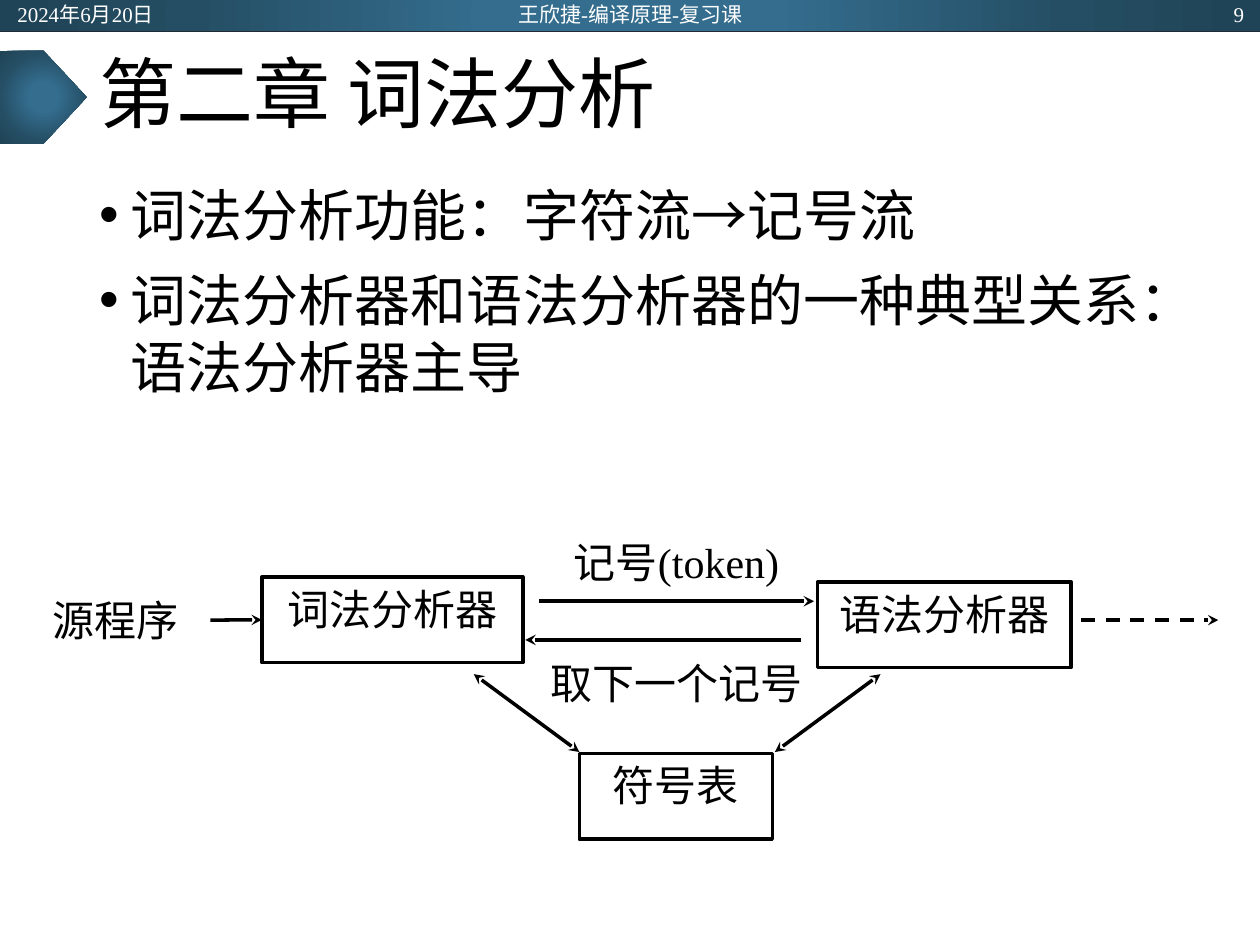
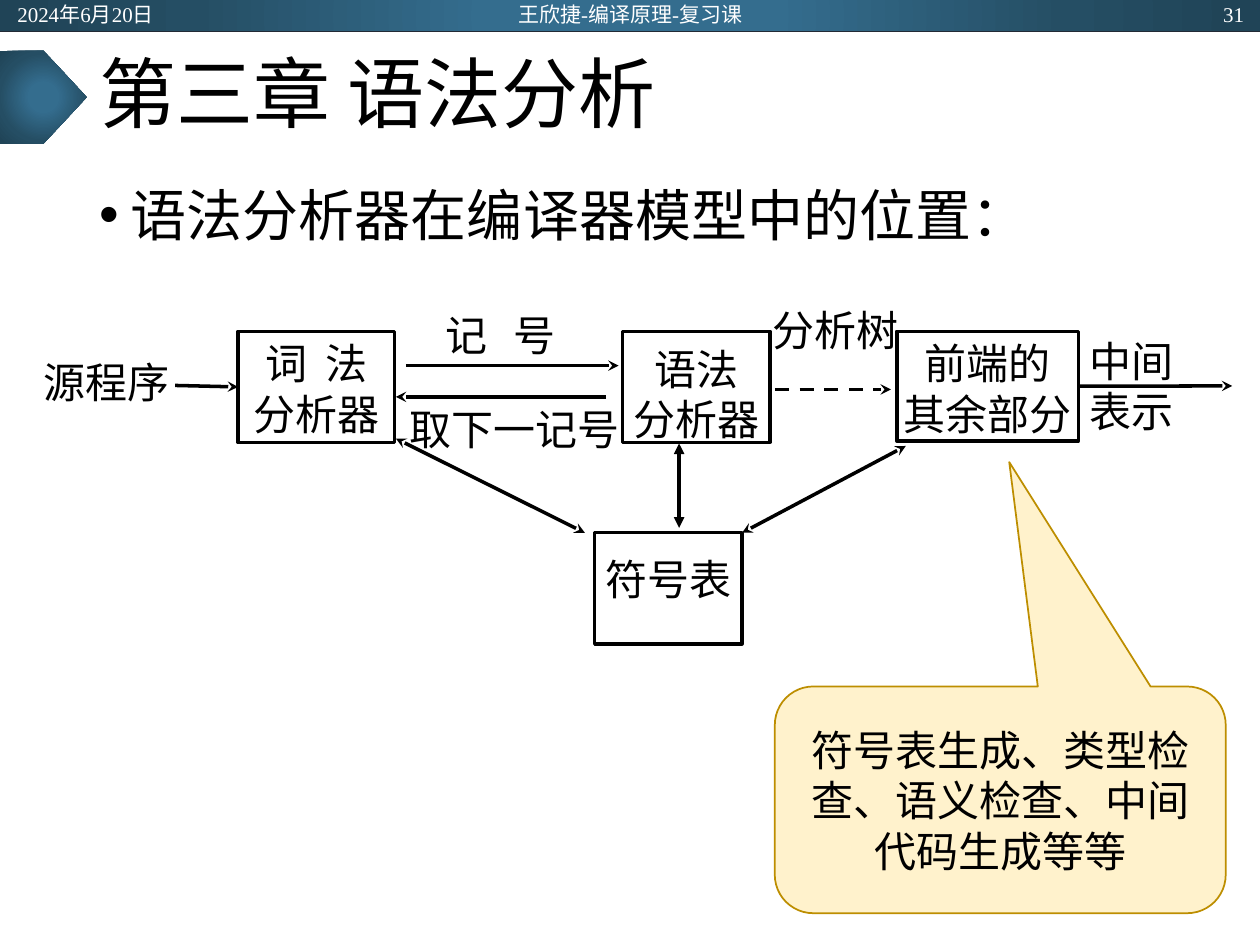
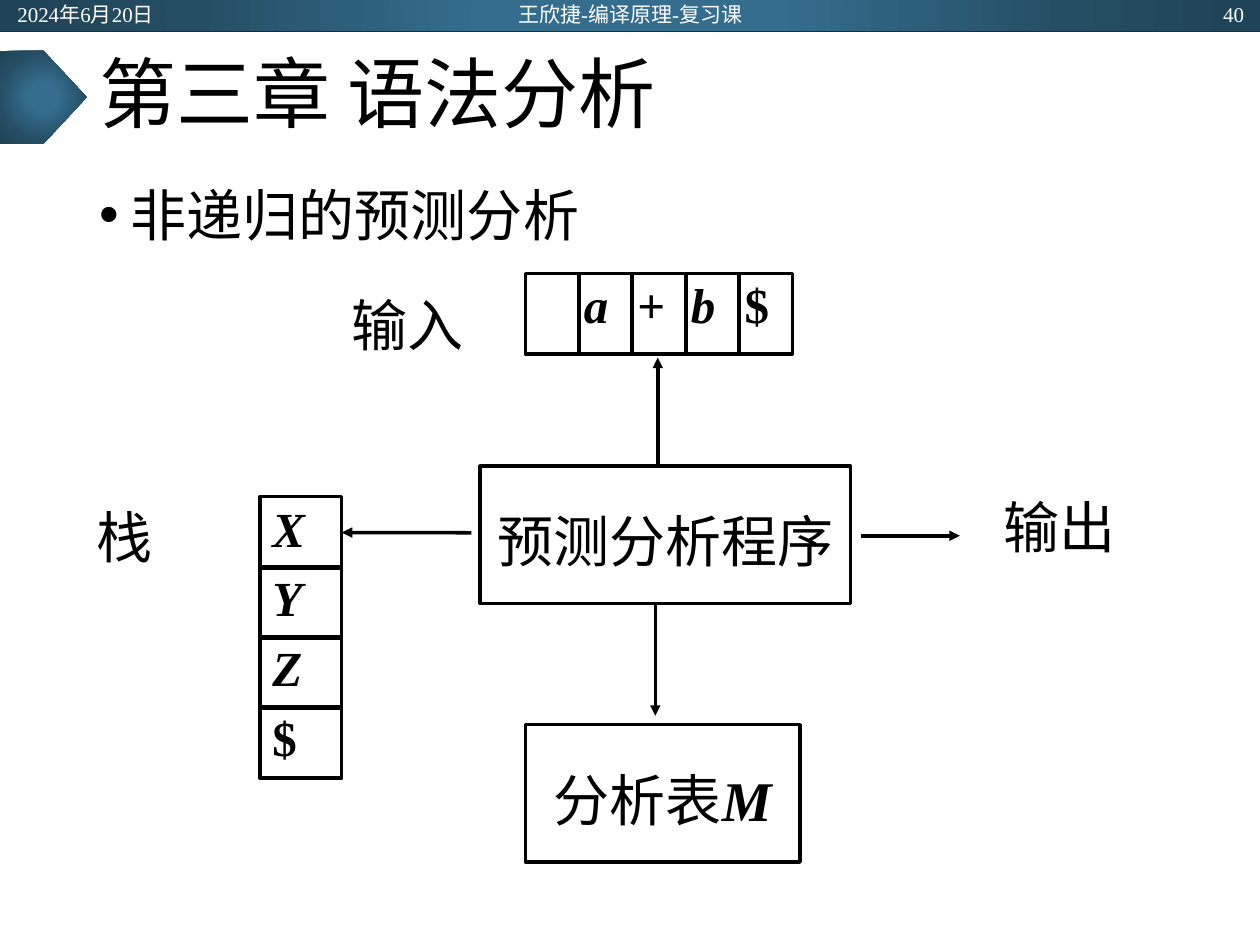
from lxml.etree import SubElement
from pptx import Presentation
from pptx.dml.color import RGBColor
from pptx.enum.dml import MSO_LINE
from pptx.enum.shapes import MSO_CONNECTOR as Link, MSO_SHAPE as Kind
from pptx.enum.text import MSO_ANCHOR as Anchor, PP_ALIGN as Align
from pptx.oxml import parse_xml
from pptx.oxml.ns import nsdecls, qn
from pptx.util import Cm, Pt

BLACK = RGBColor(0x00, 0x00, 0x00)
WHITE = RGBColor(0xFF, 0xFF, 0xFF)
RULE = RGBColor(0x22, 0x2A, 0x35)
CREAM = RGBColor(0xFF, 0xF2, 0xCC)
GOLD = RGBColor(0xBD, 0x8E, 0x00)
GLOW = [(0, RGBColor(0x34, 0x6D, 0x8E)), (23, RGBColor(0x34, 0x6D, 0x8E)),
        (69, RGBColor(0x25, 0x4E, 0x64)), (97, RGBColor(0x20, 0x44, 0x57))]
SERIF = "Times New Roman"
SANS = "Noto Sans CJK SC"

# Insets: left, top, right, bottom
PAD = (0.25, 0.13, 0.25, 0.13)
SLIM = (0.05, 0.13, 0.05, 0.13)
LOW = (0.05, 0.41, 0.05, 0.13)
HIGH = (0.25, 0.03, 0.25, 0.13)
DEEP = (0.25, 0.28, 0.25, 0.13)
TIGHT = (0.1, 0.03, 0.05, 0.03)

DATE = "2024年6月20日"
COURSE = "王欣捷-编译原理-复习课"


def cms(*nums):
    return [Cm(num) for num in nums]


def write(shape, lines, size=24, align=Align.CENTER, anchor=Anchor.TOP,
          pad=PAD, ink=BLACK, face=SERIF, lead=None, dots=False,
          bold=None, slant=None, track=0):
    """Fill the shape with one paragraph a line; track is in points."""
    frame = shape.text_frame
    frame.word_wrap = True
    frame.vertical_anchor = anchor
    (frame.margin_left, frame.margin_top,
     frame.margin_right, frame.margin_bottom) = cms(*pad)
    for num, line in enumerate(lines):
        par = frame.add_paragraph() if num else frame.paragraphs[0]
        par.text = line
        par.alignment = align
        if lead:
            par.line_spacing = lead
        props = par._p.get_or_add_pPr()
        if dots:
            if num:
                par.space_before = Pt(10)
            props.set("marL", str(Cm(0.64)))
            props.set("indent", str(-Cm(0.64)))
            SubElement(props, qn("a:buFont")).set("typeface", "Arial")
            SubElement(props, qn("a:buChar")).set("char", "•")
        font = par.font
        font.size, font.name = Pt(size), face
        font.bold, font.italic = bold, slant
        font.color.rgb = ink
        base = props.find(qn("a:defRPr"))
        SubElement(base, qn("a:ea")).set("typeface", SANS)
        if track and " " in line:
            base.set("spc", str(int(track * 100)))
    return shape


def label(slide, area, *lines, **look):
    return write(slide.shapes.add_textbox(*cms(*area)), lines, **look)


def plain(slide, kind, area):
    shape = slide.shapes.add_shape(kind, *cms(*area))
    shape.shadow.inherit = False
    return shape


def box(slide, area, *lines, **look):
    shape = plain(slide, Kind.RECTANGLE, area)
    shape.fill.background()
    shape.line.color.rgb = BLACK
    shape.line.width = Pt(2)
    return write(shape, lines, **look)


def glow(slide, kind, area):
    """Shape with the round blue gradient of the header."""
    shape = plain(slide, kind, area)
    shape.line.fill.background()
    stops = "".join(f'<a:gs pos="{pos * 1000}"><a:srgbClr val="{tint}"/></a:gs>'
                    for pos, tint in GLOW)
    half = 'l="50000" t="50000" r="50000" b="50000"'
    grad = parse_xml(f'<a:gradFill {nsdecls("a")}><a:gsLst>{stops}</a:gsLst>'
                     f'<a:path path="circle"><a:fillToRect {half}/></a:path>'
                     '</a:gradFill>')
    shape._element.spPr.find(qn("a:prstGeom")).addnext(grad)


def line(slide, ends, ink=BLACK, width=2, head=None, tail=None, dash=False):
    link = slide.shapes.add_connector(Link.STRAIGHT, *cms(*ends))
    link.line.color.rgb = ink
    link.line.width = Pt(width)
    if dash:
        link.line.dash_style = MSO_LINE.DASH
    stroke = link.line._get_or_add_ln()
    for tag, tip in (("a:headEnd", head), ("a:tailEnd", tail)):
        if tip:
            SubElement(stroke, qn(tag)).set("type", tip)
    SubElement(link._element.spPr, qn("a:effectLst"))
    return link


def arrow(slide, *ends, tip="stealth", both=False, dash=False):
    return line(slide, ends, head=tip if both else None, tail=tip, dash=dash)


def page(deck, num, title, *points):
    """New slide with header, title and bullet points."""
    slide = deck.slides.add_slide(deck.slide_layouts[6])
    glow(slide, Kind.RECTANGLE, (0, 0, 25.4, 0.64))
    line(slide, (0, 0.64, 25.4, 0.64), RULE, 0.5)
    glow(slide, Kind.PENTAGON, (0, 1.02, 1.75, 1.88))
    label(slide, (1.75, 0.64, 21.89, 2.64), title, size=44,
          align=Align.LEFT, anchor=Anchor.MIDDLE, lead=0.9)
    label(slide, (1.75, 3.51, 21.89, 13.67), *points, size=32,
          align=Align.LEFT, dots=True)
    for left, width, text, align in ((0.1, 5.72, DATE, Align.LEFT),
                                     (8.41, 8.59, COURSE, Align.CENTER),
                                     (19.61, 5.72, str(num), Align.RIGHT)):
        label(slide, (left, 0.03, width, 0.51), text, size=12, ink=WHITE,
              align=align, anchor=Anchor.MIDDLE)
    return slide


def lexing(deck):
    slide = page(deck, 9, "第二章 词法分析", "词法分析功能：字符流→记号流",
                 "词法分析器和语法分析器的一种典型关系：语法分析器主导")
    lexer = box(slide, (5.28, 11.63, 5.26, 1.73), "词法分析器")
    box(slide, (16.48, 11.73, 5.11, 1.73), "语法分析器")
    box(slide, (11.68, 15.19, 3.89, 1.73), "符号表")
    arrow(slide, 9.55, 13.59, 11.68, 15.16, both=True)
    arrow(slide, 17.75, 13.59, 15.62, 15.16, both=True)
    arrow(slide, 10.87, 12.12, 16.41, 12.12)
    arrow(slide, 16.15, 12.9, 10.59, 12.9)
    arrow(slide, 4.24, 12.5, 5.28, 12.5).end_connect(lexer, 1)
    arrow(slide, 21.79, 12.5, 24.56, 12.5, dash=True)
    label(slide, (11.1, 10.69, 5.08, 1.27), "记号(token)")
    label(slide, (10.8, 13.13, 5.66, 1.27), "取下一个记号")
    label(slide, (0.64, 11.86, 3.38, 1.75), "源程序")


def parsing(deck):
    slide = page(deck, 31, "第三章 语法分析", "语法分析器在编译器模型中的位置：")
    lexer = box(slide, (4.8, 6.68, 3.15, 2.24), "词 法", "分析器",
                pad=SLIM, face=SANS, track=2.5)
    box(slide, (12.55, 6.68, 2.97, 2.24), "语法", "分析器",
        pad=LOW, anchor=Anchor.MIDDLE)
    rest = box(slide, (18.08, 6.68, 3.66, 2.21), "前端的", "其余部分", pad=SLIM)
    box(slide, (11.99, 10.74, 2.97, 2.24), "符号表", pad=LOW)

    arrow(slide, 8.18, 7.37, 12.47, 7.37)
    arrow(slide, 12.22, 8, 7.98, 8)
    arrow(slide, 3.53, 7.77, 4.8, 7.75).end_connect(lexer, 1)
    arrow(slide, 15.62, 7.85, 17.96, 7.85, dash=True)
    arrow(slide, 21.74, 7.78, 24.84, 7.78).begin_connect(rest, 3)
    arrow(slide, 7.98, 8.84, 11.79, 10.74, both=True)
    arrow(slide, 18.26, 8.99, 14.96, 10.74, both=True)
    arrow(slide, 13.69, 8.94, 13.69, 10.64, tip="triangle", both=True)

    label(slide, (7.98, 6.1, 4.22, 1.37), "记 号", face=SANS, track=5)
    label(slide, (7.47, 8, 5.79, 1.27), "取下一记号")
    label(slide, (0.56, 7.06, 3.18, 1.37), "源程序")
    label(slide, (14.96, 6.1, 3.76, 1.19), "分析树", pad=HIGH)
    label(slide, (21.31, 6.73, 3, 1.19), "中间表示", pad=HIGH)

    note = plain(slide, Kind.ROUNDED_RECTANGULAR_CALLOUT,
                 (15.62, 13.84, 9.09, 4.57))
    for num, ratio in enumerate((0.02, -1.49, 0.17)):
        note.adjustments[num] = ratio
    note.fill.solid()
    note.fill.fore_color.rgb = CREAM
    note.line.color.rgb = GOLD
    note.line.width = Pt(1)
    write(note, ["符号表生成、类型检查、语义检查、中间代码生成等等"],
          anchor=Anchor.MIDDLE)


def predicting(deck):
    slide = page(deck, 40, "第三章 语法分析", "非递归的预测分析")
    cell = dict(size=28, align=Align.LEFT, bold=True)
    for num, sign in enumerate(["", "a", "+", "b", "$"]):
        box(slide, (10.59 + 1.08 * num, 5.51, 1.07, 1.63),
            *([sign] if sign else []), pad=TIGHT, slant=sign.isalpha(), **cell)
    stack = [box(slide, (5.24, 10.01 + 1.41 * num, 1.65, 1.45), sign,
                 pad=HIGH, slant=sign.isalpha(), **cell)
             for num, sign in enumerate("XYZ$")]

    box(slide, (9.68, 9.4, 7.47, 2.77), "预测分析程序",
        size=32, pad=DEEP, lead=1.4)
    table = box(slide, (10.59, 14.61, 5.54, 2.77), "分析表",
                size=32, pad=DEEP, lead=1.4)
    name = table.text_frame.paragraphs[0].add_run()
    name.text = "M"
    name.font.bold = name.font.italic = True

    arrow(slide, 13.26, 9.35, 13.26, 7.21, tip="triangle")
    arrow(slide, 13.21, 12.17, 13.21, 14.43, tip="triangle")
    arrow(slide, 17.35, 10.8, 19.35, 10.8, tip="triangle")
    arrow(slide, 9.5, 10.74, 6.89, 10.74,
          tip="triangle").end_connect(stack[0], 3)
    for left, top, text in ((6.83, 5.72, "输入"), (19.99, 9.8, "输出"),
                            (1.7, 10.01, "栈")):
        label(slide, (left, top, 2.9, 1.8), text, size=32, align=Align.LEFT)


def main():
    deck = Presentation()
    deck.slide_width, deck.slide_height = cms(25.4, 19.05)
    lexing(deck)
    parsing(deck)
    predicting(deck)
    deck.save("out.pptx")


if __name__ == "__main__":
    main()
